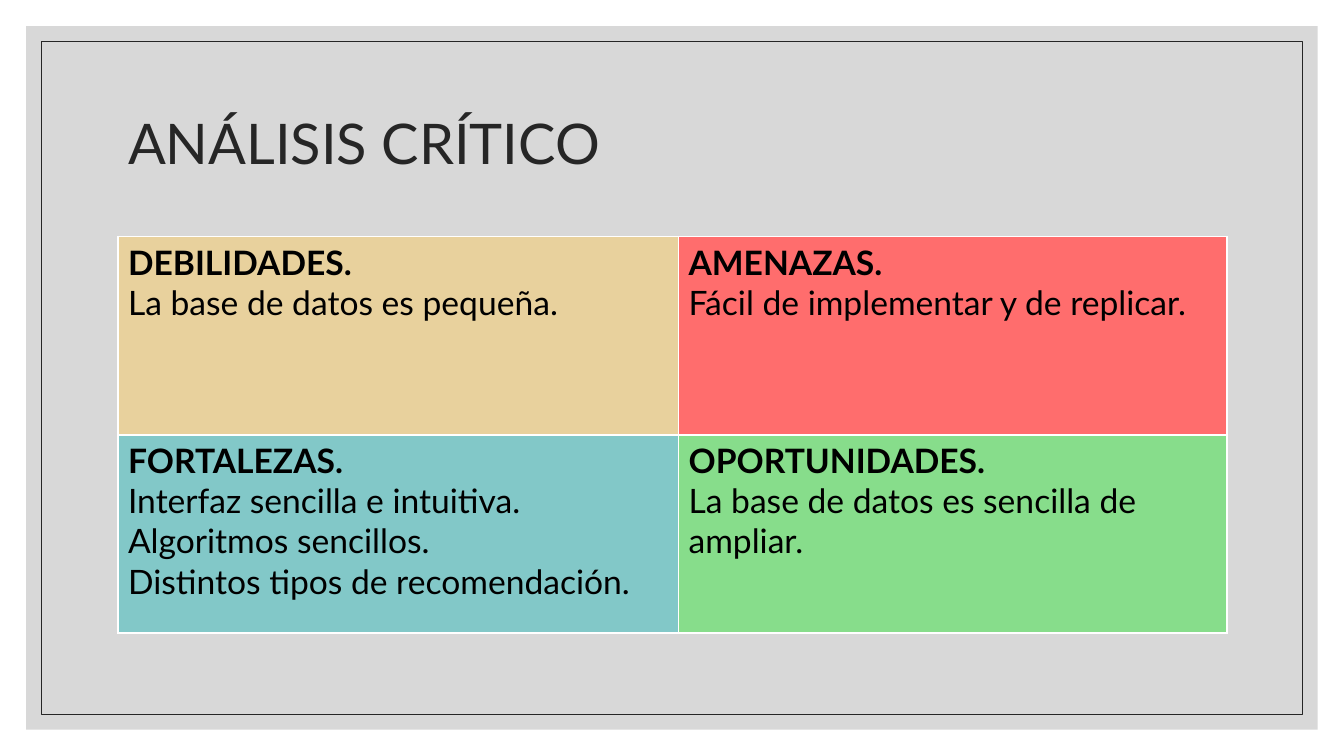
"""Build the 'Análisis crítico' SWOT slide."""
from lxml import etree
from pptx import Presentation
from pptx.dml.color import RGBColor
from pptx.enum.shapes import MSO_SHAPE
from pptx.enum.text import MSO_ANCHOR, PP_ALIGN
from pptx.oxml import parse_xml
from pptx.oxml.ns import nsdecls, qn
from pptx.util import Inches, Pt

RECTANGLE = MSO_SHAPE.RECTANGLE
MIDDLE = MSO_ANCHOR.MIDDLE
LEFT = PP_ALIGN.LEFT
INK = RGBColor(0x26, 0x26, 0x26)
BLACK = RGBColor(0x00, 0x00, 0x00)
GRAY = RGBColor(0xBF, 0xBF, 0xBF)
SAND = RGBColor(0xE8, 0xD1, 0x9D)
CORAL = RGBColor(0xFF, 0x6D, 0x6D)
TEAL = RGBColor(0x82, 0xC8, 0xC8)
GREEN = RGBColor(0x87, 0xDD, 0x8B)
BORDER_SIDES = ("lnL", "lnR", "lnT", "lnB")

QUADRANTS = [
    [
        (SAND, "DEBILIDADES.", ["La base de datos es pequeña."]),
        (CORAL, "AMENAZAS.", ["Fácil de implementar y de replicar."]),
    ],
    [
        (TEAL, "FORTALEZAS.", [
            "Interfaz sencilla e intuitiva.",
            "Algoritmos sencillos.",
            "Distintos tipos de recomendación.",
        ]),
        (GREEN, "OPORTUNIDADES.", ["La base de datos es sencilla de ampliar."]),
    ],
]


def format_font(font, color, **values):
    font.color.rgb = color
    for name, value in values.items():
        setattr(font, name, value)


prs = Presentation()
prs.slide_width, prs.slide_height = Inches(13.33), Inches(7.5)
slide = prs.slides.add_slide(prs.slide_layouts[5])

title = slide.shapes.title
title_place = {"left": 1.17, "top": 0.7, "width": 11, "height": 1.5}
for side, length in title_place.items():
    setattr(title, side, Inches(length))
title.text_frame.vertical_anchor = MIDDLE
heading = title.text_frame.paragraphs[0]
heading.alignment, heading.line_spacing = LEFT, 0.9
heading_run = heading.add_run()
heading_run.text = "ANÁLISIS CRÍTICO"
format_font(heading_run.font, INK, name="Lato", size=Pt(40))

panel, frame = [
    slide.shapes.add_shape(
        RECTANGLE, Inches(inset), Inches(inset),
        prs.slide_width - 2 * Inches(inset), prs.slide_height - 2 * Inches(inset),
    )
    for inset in (0.26, 0.41)
]
for backdrop in (panel, frame):
    backdrop.shadow.inherit = False
    title._element.addprevious(backdrop._element)
panel.fill.solid()
panel.fill.fore_color.rgb = GRAY
panel_color = panel._element.spPr.find(".//" + qn("a:srgbClr"))
etree.SubElement(panel_color, qn("a:alpha"), val="60000")
panel.line.fill.background()
frame.fill.background()
frame.line.color.rgb = INK
frame.line.width = Pt(0.5)

swot = slide.shapes.add_table(
    2, 2, Inches(1.17), Inches(2.35), Inches(11), Inches(3.93)
).table
for column, width in zip(swot.columns, (5.56, 5.44)):
    column.width = Inches(width)

for row, quadrants in enumerate(QUADRANTS):
    for col, (color, topic, points) in enumerate(quadrants):
        cell = swot.cell(row, col)
        properties = cell._tc.get_or_add_tcPr()
        for side in BORDER_SIDES:
            properties.append(parse_xml(
                f'<a:{side} {nsdecls("a")} w="12700"><a:solidFill>'
                f'<a:srgbClr val="FFFFFF"/></a:solidFill></a:{side}>'
            ))
        cell.fill.solid()
        cell.fill.fore_color.rgb = color
        cell.text = "\n".join([topic, *points])
        for line, paragraph in enumerate(cell.text_frame.paragraphs):
            format_font(paragraph.runs[0].font, BLACK,
                        name="Lato", size=Pt(24), bold=line == 0)

prs.save("out.pptx")
